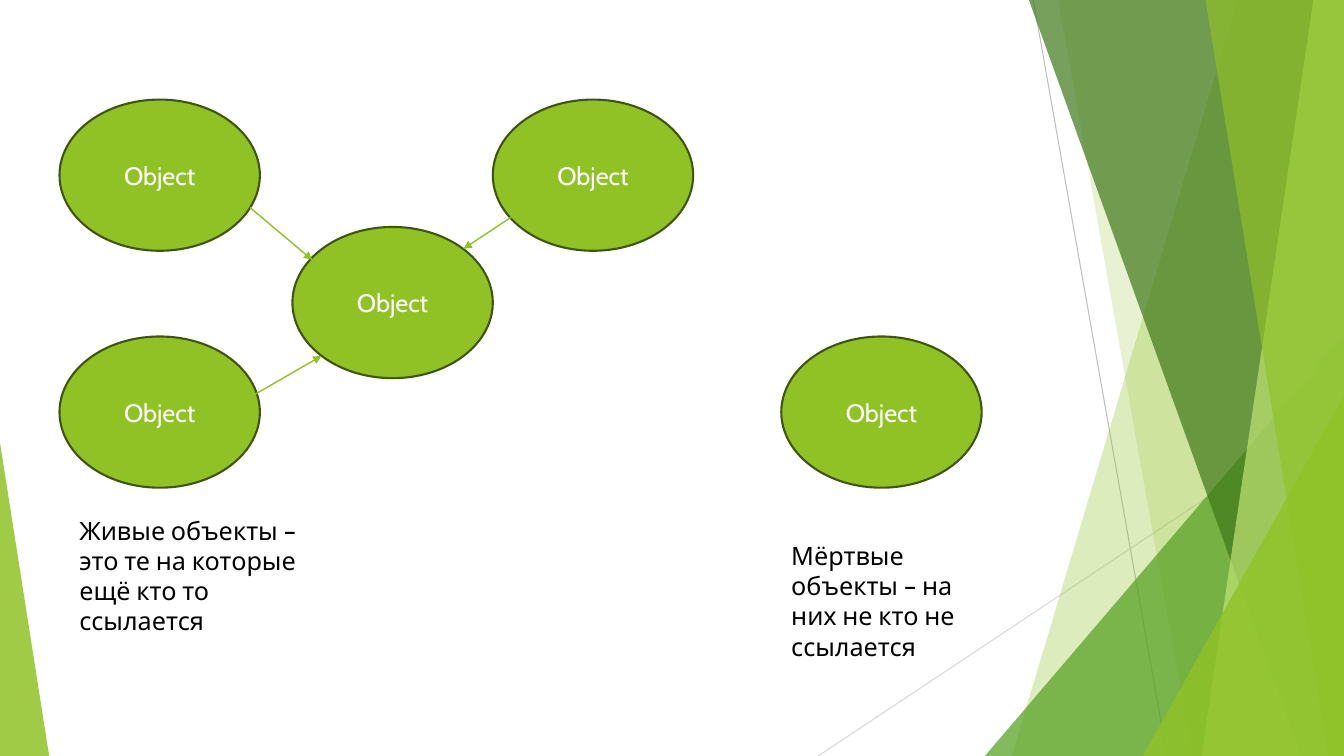
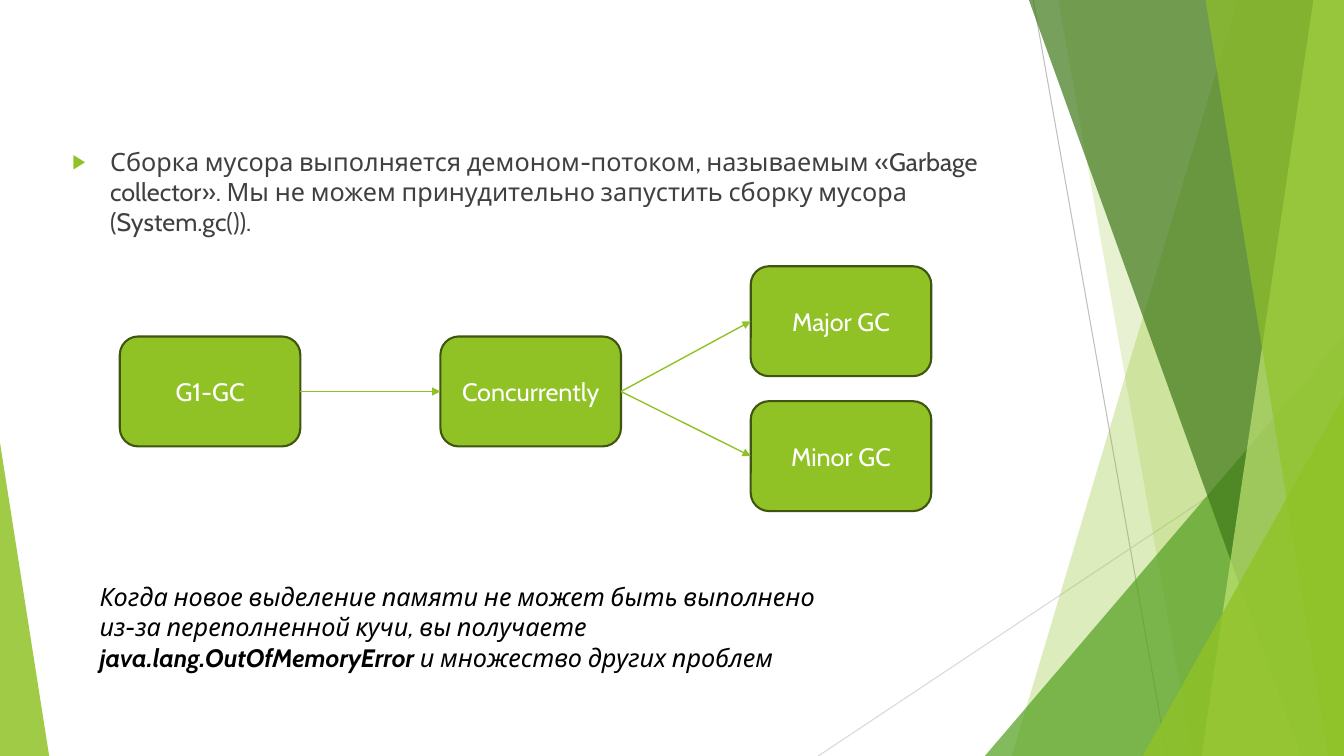
from lxml import etree
from pptx import Presentation
from pptx.dml.color import RGBColor
from pptx.enum import shapes, text
from pptx.oxml import ns
from pptx.util import Cm, Pt

# Shared look
COLORS = {
    "green": "90C226", "leaf": "54A021", "forest": "3F7819", "lime": "C0E474",
    "outline": "3F5511", "body": "404040", "black": "000000", "white": "FFFFFF",
    "gray": "BFBFBF", "light gray": "D9D9D9",
}
FONT, SIZE = "Cabin", 18
WIDTH, HEIGHT = 33.87, 19.05

# Background: lines as start and end, in cm
RAYS = [
    ("gray", (26.04, 0), (29.41, HEIGHT)),
    ("light gray", (WIDTH, 10.24), (20.62, HEIGHT)),
]
# Bands reach from a slanted edge (top x, bottom x) to the right side;
# corners are triangles (left, top, width, apex position)
FACETS = [
    ("band", "green", 30, (31.19, 25.5)),
    ("band", "green", 20, (26.67, 30.05)),
    ("corner", "leaf", 72, (24.82, 8.46, 9.05, 1)),
    ("band", "forest", 70, (25.93, 32.79)),
    ("band", "lime", 70, (33.1, 30.28)),
    ("band", "green", 65, (30.38, 33.48)),
    ("corner", "green", 80, (28.8, 9.98, 5.07, 1)),
    ("corner", "green", 85, (0, 11.15, 1.24, 0)),
]

# Slide 1: live and dead objects
OBJECT_SIZE = (5.05, 3.81)
OBJECTS = [(19.69, 8.48), (1.5, 2.51), (1.5, 8.48), (7.37, 5.72), (12.42, 2.51)]
REFERENCES = [
    ((6.3, 5.23), (7.87, 6.55)),
    ((6.3, 10.01), (8.1, 8.97)),
    ((12.9, 5.46), (11.68, 6.27)),
]
CAPTIONS = [
    ((1.75, 12.85, 6.35, 3.33), "Живые объекты – это те на которые ещё кто то ссылается"),
    ((19.69, 13.49, 5.05, 3.33), "Мёртвые объекты – на них не кто не ссылается"),
]

# Slide 2: garbage collector
BULLET = ("Сборка мусора выполняется демоном-потоком, называемым «Garbage collector». "
          "Мы не можем принудительно запустить сборку мусора (System.gc()).")
BULLET_AREA = (1.57, 3.56, 23.88, 10.77)
STAGE_SIZE = (4.55, 2.77)
STAGES = {
    "G1-GC": (3.02, 8.48),
    "Concurrently": (11.1, 8.48),
    "Major GC": (18.92, 6.71),
    "Minor GC": (18.92, 10.11),
}
FLOW = [("G1-GC", "Concurrently"), ("Concurrently", "Major GC"), ("Concurrently", "Minor GC")]
RIGHT_SITE, LEFT_SITE = 3, 1
NOTE_AREA = (2.26, 14.53, 18.92, 3.33)
NOTE = [
    ("Когда новое выделение памяти не может быть выполнено из-за переполненной кучи, "
     "вы получаете ", False),
    ("java.lang.OutOfMemoryError", True),
    (" и множество других проблем", False),
]


def color(name):
    return RGBColor.from_string(COLORS[name])


def cm(values):
    return [Cm(value) for value in values]


def add_xml(parent, tag, **attributes):
    return etree.SubElement(parent, ns.qn(tag), attributes)


def style_para(para, color_name):
    para.font.name, para.font.size = FONT, Pt(SIZE)
    para.font.color.rgb = color(color_name)


def add_line(page, start, end, color_name, width):
    line = page.shapes.add_connector(shapes.MSO_CONNECTOR.STRAIGHT, *cm(start + end))
    line.line.color.rgb = color(color_name)
    line.line.width = Pt(width)
    add_xml(line.element.spPr, "a:effectLst")
    return line


def add_arrow(page, start, end):
    arrow = add_line(page, start, end, "green", 1)
    add_xml(arrow.line._get_or_add_ln(), "a:tailEnd", type="triangle")
    return arrow


def add_node(page, kind, place, size, label):
    node = page.shapes.add_shape(kind, *cm(place + size))
    node.shadow.inherit = False
    node.fill.solid()
    node.fill.fore_color.rgb = color("green")
    node.line.color.rgb = color("outline")
    node.line.width = Pt(1.5)
    frame = node.text_frame
    frame.vertical_anchor = text.MSO_ANCHOR.MIDDLE
    para = frame.paragraphs[0]
    para.text, para.alignment = label, text.PP_ALIGN.CENTER
    style_para(para, "white")
    return node


def add_text(page, area, runs):
    box = page.shapes.add_textbox(*cm(area))
    box.text_frame.word_wrap = True
    box.text_frame.auto_size = text.MSO_AUTO_SIZE.SHAPE_TO_FIT_TEXT
    para = box.text_frame.paragraphs[0]
    style_para(para, "black")
    for words, bold in runs:
        span = para.add_run()
        span.text, span.font.bold = words, bold
        span.font.name, span.font.size = FONT, Pt(SIZE)
        span.font.color.rgb = color("black")
    return para


def add_facet(page, kind, color_name, opacity, geometry):
    if kind == "band":
        top_x, bottom_x = geometry
        outline = page.shapes.build_freeform(Cm(top_x), 0)
        corners = [(WIDTH, 0), (WIDTH, HEIGHT), (bottom_x, HEIGHT)]
        outline.add_line_segments([cm(corner) for corner in corners])
        facet = outline.convert_to_shape()
    else:
        left, top, width, apex = geometry
        facet = page.shapes.add_shape(shapes.MSO_SHAPE.ISOSCELES_TRIANGLE,
                                      *cm((left, top, width, HEIGHT - top)))
        facet.adjustments[0] = apex
    facet.shadow.inherit = False
    facet.fill.solid()
    facet.fill.fore_color.rgb = color(color_name)
    facet.line.fill.background()
    paint = facet.element.spPr.find(ns.qn("a:solidFill"))[0]
    add_xml(paint, "a:alpha", val=str(opacity * 1000))
    return facet


def decorate_master(deck, page):
    """Draw the background on an empty page, then move it to the master."""
    parts = [add_line(page, start, end, name, 0.75) for name, start, end in RAYS]
    parts += [add_facet(page, *facet) for facet in FACETS]
    for number, part in enumerate(parts, 100):
        part.element.xpath(".//p:cNvPr")[0].set("id", str(number))
        deck.slide_master.shapes.element.append(part.element)


def build_objects(page):
    for place in OBJECTS:
        add_node(page, shapes.MSO_SHAPE.OVAL, place, OBJECT_SIZE, "Object")
    for start, end in REFERENCES:
        add_arrow(page, start, end)
    for area, caption in CAPTIONS:
        add_text(page, area, [(caption, None)])


def build_collector(page):
    # Bulleted list
    title = page.shapes.title.element
    title.getparent().remove(title)
    body = page.placeholders[1]
    body.left, body.top, body.width, body.height = cm(BULLET_AREA)
    para = body.text_frame.paragraphs[0]
    para.text, para.space_before = BULLET, Pt(10)
    style_para(para, "body")
    props = para._p.get_or_add_pPr()
    props.set("marL", str(Cm(0.95)))
    props.set("indent", str(-Cm(0.95)))
    add_xml(add_xml(props, "a:buClr"), "a:srgbClr", val=COLORS["green"])
    add_xml(props, "a:buSzPct", val="80000")
    add_xml(props, "a:buFont", typeface="Arial")
    add_xml(props, "a:buChar", char="▶")

    # Flow chart
    nodes = {label: add_node(page, shapes.MSO_SHAPE.ROUNDED_RECTANGLE, place, STAGE_SIZE, label)
             for label, place in STAGES.items()}
    for source, target in FLOW:
        arrow = add_arrow(page, STAGES[source], STAGES[target])
        arrow.begin_connect(nodes[source], RIGHT_SITE)
        arrow.end_connect(nodes[target], LEFT_SITE)

    # Closing remark
    for span in add_text(page, NOTE_AREA, NOTE).runs:
        span.font.italic = True


def main():
    deck = Presentation()
    deck.slide_width, deck.slide_height = cm((WIDTH, HEIGHT))
    blank, content = deck.slide_layouts[6], deck.slide_layouts[1]
    first = deck.slides.add_slide(blank)
    decorate_master(deck, first)
    build_objects(first)
    build_collector(deck.slides.add_slide(content))
    deck.save("out.pptx")


if __name__ == "__main__":
    main()
